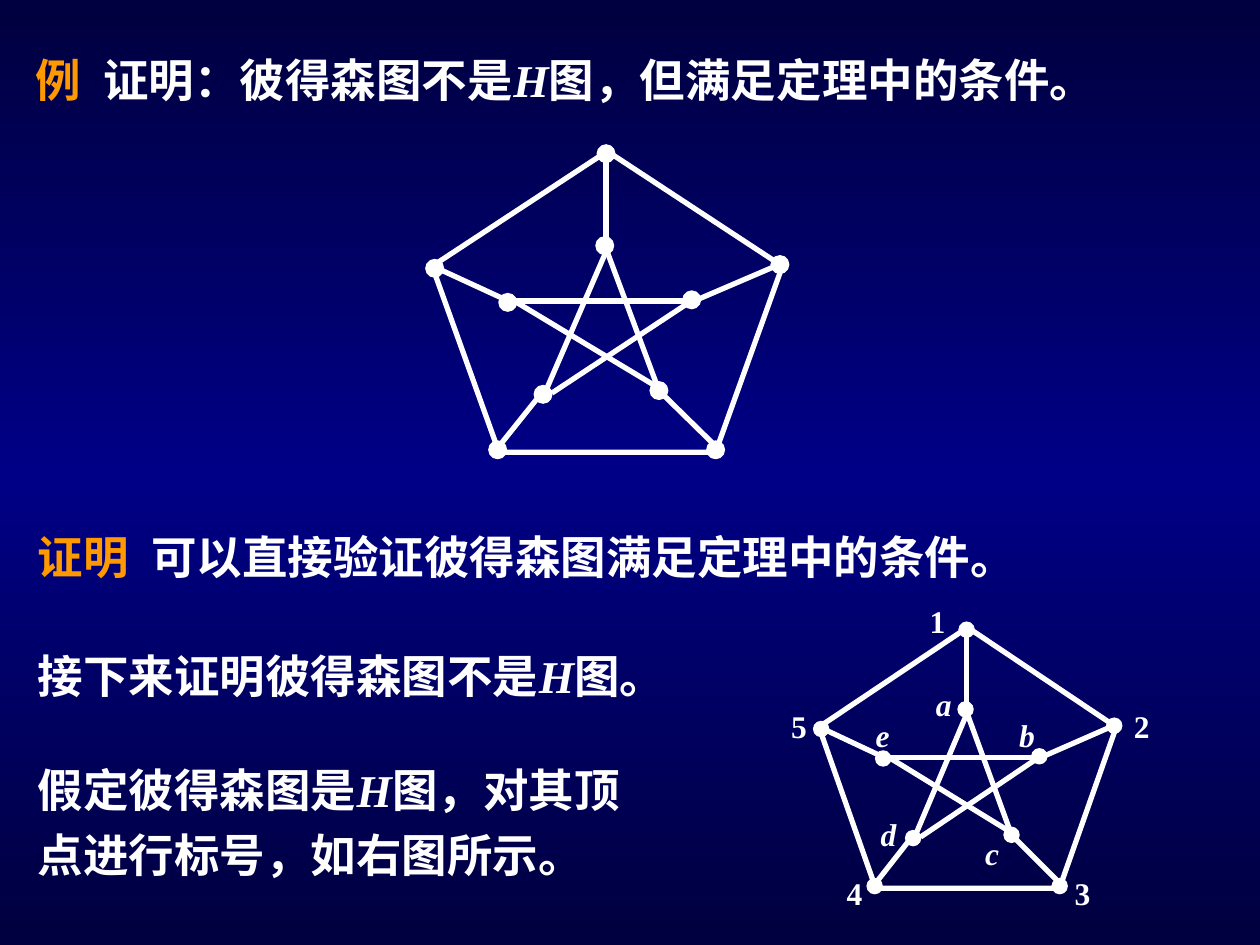
"""Build a slide on the Petersen graph and its Hamiltonicity proof."""
from copy import deepcopy
from typing import NamedTuple

from pptx import Presentation
from pptx.dml.color import RGBColor
from pptx.enum.shapes import MSO_CONNECTOR as Connector, MSO_SHAPE as Preset
from pptx.enum.text import MSO_ANCHOR as Anchor, MSO_AUTO_SIZE as AutoSize, PP_ALIGN as Align
from pptx.oxml.ns import qn
from pptx.util import Inches, Pt

WHITE = RGBColor(0xFF, 0xFF, 0xFF)
ORANGE = RGBColor(0xFF, 0x99, 0x00)
NIGHT = RGBColor(0x00, 0x00, 0x3E)
NAVY = RGBColor(0x00, 0x00, 0x86)
FONT = "Times New Roman"


class Words(NamedTuple):
    text: str
    color: RGBColor = WHITE
    italic: bool = False


class Passage(NamedTuple):
    left: float
    top: float
    width: float
    height: float
    words: list[Words]
    tab: float = 0


class Graph(NamedTuple):
    left: float
    top: float
    width: float
    height: float
    dot: float


class Label(NamedTuple):
    text: str
    left: float
    top: float


H = Words("H", italic=True)
CLAIM = Passage(0.18, 0.28, 9.61, 0.62, [
    Words("例", ORANGE), Words("\t证明：彼得森图不是"), H, Words("图，但满足定理中的条件。")], 0.54)
PROOF = [
    Passage(0.2, 4.06, 9.61, 0.62, [
        Words("证明", ORANGE), Words("\t可以直接验证彼得森图满足定理中的条件。")], 0.9),
    Passage(0.2, 5.01, 5.07, 0.62, [Words("接下来证明彼得森图不是"), H, Words("图。")]),
    Passage(0.2, 5.91, 4.85, 1.14, [
        Words("假定彼得森图是"), H, Words("图，对其顶点进行标号，如右图所示。")]),
]

LABELLED = Graph(6.5, 4.98, 2.36, 2.07, 0.12)
PLAIN = Graph(3.43, 1.2, 2.78, 2.39, 0.14)
VERTICES = [
    (1.38, 0.02), (2.76, 0.9), (2.25, 2.37), (0.52, 2.37), (0.02, 0.93),
    (1.37, 0.75), (2.06, 1.18), (1.8, 1.9), (0.88, 1.93), (0.6, 1.2),
]
SPOKES = [
    ((1.38, 0.02), (1.38, 0.75)), ((0.02, 0.92), (0.65, 1.21)),
    ((0.9, 1.88), (0.5, 2.38)), ((1.79, 1.89), (2.29, 2.38)),
    ((2.73, 0.91), (2.1, 1.18)),
]
STAR = [
    ((1.4, 0.75), (0.89, 1.93)), ((1.39, 0.8), (1.8, 1.9)),
    ((0.58, 1.19), (2.08, 1.19)), ((1.75, 1.85), (0.67, 1.2)),
    ((0.95, 1.92), (2.01, 1.22)),
]
LABELS = [
    Label("1", 7.28, 4.73), Label("2", 8.9, 5.56), Label("3", 8.43, 6.89),
    Label("4", 6.62, 6.89), Label("5", 6.18, 5.56),
    Label("a", 7.33, 5.39), Label("b", 7.99, 5.63), Label("c", 7.72, 6.57),
    Label("d", 6.89, 6.42), Label("e", 6.85, 5.63),
]


def paint_background(slide) -> None:
    fill = slide.background.fill
    fill.gradient()
    stop_list = next(slide.element.iter(qn("a:gsLst")))
    stop_list.insert(1, deepcopy(stop_list[0]))
    for stop, position, color in zip(fill.gradient_stops, (0, 0.5, 1), (NIGHT, NAVY, NIGHT)):
        stop.position = position
        stop.color.rgb = color
    fill.gradient_angle = 90


def add_words(paragraph, words: Words, size: float) -> None:
    run = paragraph.add_run()
    run.text = words.text
    run.font.name = FONT
    run.font.size = Pt(size)
    run.font.bold = True
    run.font.italic = words.italic
    run.font.color.rgb = words.color


def write_passage(box, passage: Passage) -> None:
    frame = box.text_frame
    frame.word_wrap = True
    frame.auto_size = AutoSize.NONE
    frame.vertical_anchor = Anchor.TOP
    paragraph = frame.paragraphs[0]
    paragraph.alignment = Align.LEFT
    paragraph.line_spacing = 1.2
    paragraph.space_before = Pt(0)
    if passage.tab:
        tabs = paragraph._p.get_or_add_pPr().makeelement(qn("a:tabLst"), {})
        tabs.append(tabs.makeelement(qn("a:tab"), {"pos": str(Inches(passage.tab)), "algn": "l"}))
        paragraph._p.get_or_add_pPr().append(tabs)
    for words in passage.words:
        add_words(paragraph, words, 26)


def draw_edge(shapes, start: tuple[float, float], end: tuple[float, float]) -> None:
    edge = shapes.add_connector(Connector.STRAIGHT, *map(Inches, (*start, *end)))
    edge.line.color.rgb = WHITE
    edge.line.width = Pt(3)
    properties = edge._element.spPr
    properties.append(properties.makeelement(qn("a:effectLst"), {}))


def draw_graph(shapes, graph: Graph) -> None:
    def place(point: tuple[float, float]) -> tuple[float, float]:
        return (graph.left + point[0] * graph.width / PLAIN.width,
                graph.top + point[1] * graph.height / PLAIN.height)

    rim = shapes.add_shape(Preset.REGULAR_PENTAGON, *map(Inches, graph[:4]))
    rim.shadow.inherit = False
    rim.fill.background()
    rim.line.color.rgb = WHITE
    rim.line.width = Pt(3)
    for vertex in VERTICES:
        x, y = place(vertex)
        corner = (x - graph.dot / 2, y - graph.dot / 2)
        dot = shapes.add_shape(Preset.OVAL, *map(Inches, (*corner, graph.dot, graph.dot)))
        dot.shadow.inherit = False
        dot.fill.solid()
        dot.fill.fore_color.rgb = WHITE
        dot.line.color.rgb = WHITE
        dot.line.width = Pt(0.75)
    for start, end in SPOKES + STAR:
        draw_edge(shapes, place(start), place(end))


def draw_label(shapes, label: Label) -> None:
    box = shapes.add_textbox(*map(Inches, (label.left, label.top, 0.35, 0.4)))
    box.text_frame.word_wrap = True
    add_words(box.text_frame.paragraphs[0], Words(label.text, italic=label.text.isalpha()), 18)


def main() -> None:
    deck = Presentation()
    deck.slide_width, deck.slide_height = Inches(10), Inches(7.5)
    slide = deck.slides.add_slide(deck.slide_layouts[5])
    paint_background(slide)

    claim = slide.shapes.title
    claim.left, claim.top, claim.width, claim.height = map(Inches, CLAIM[:4])
    write_passage(claim, CLAIM)
    for passage in PROOF:
        write_passage(slide.shapes.add_textbox(*map(Inches, passage[:4])), passage)

    labelled = slide.shapes.add_group_shape().shapes
    draw_graph(labelled, LABELLED)
    for label in LABELS:
        draw_label(labelled, label)
    draw_graph(slide.shapes.add_group_shape().shapes, PLAIN)
    deck.save("out.pptx")


if __name__ == "__main__":
    main()
